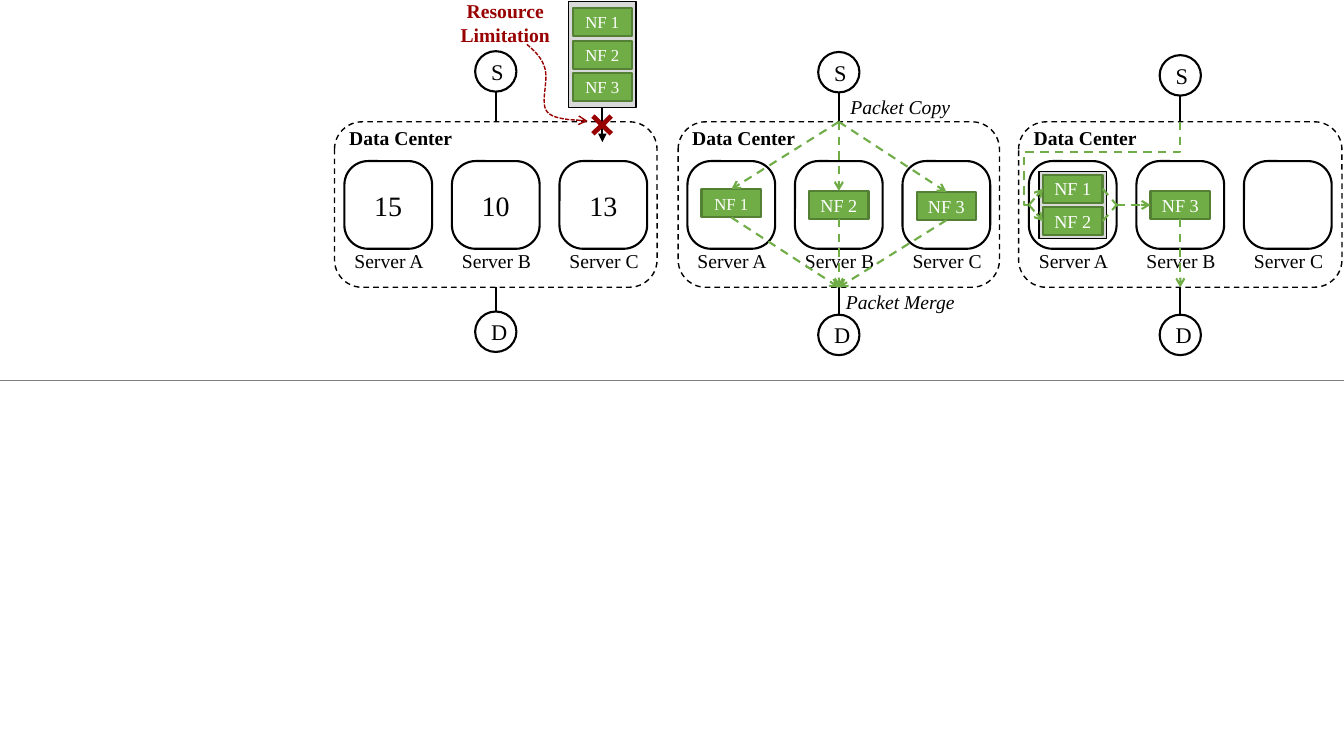
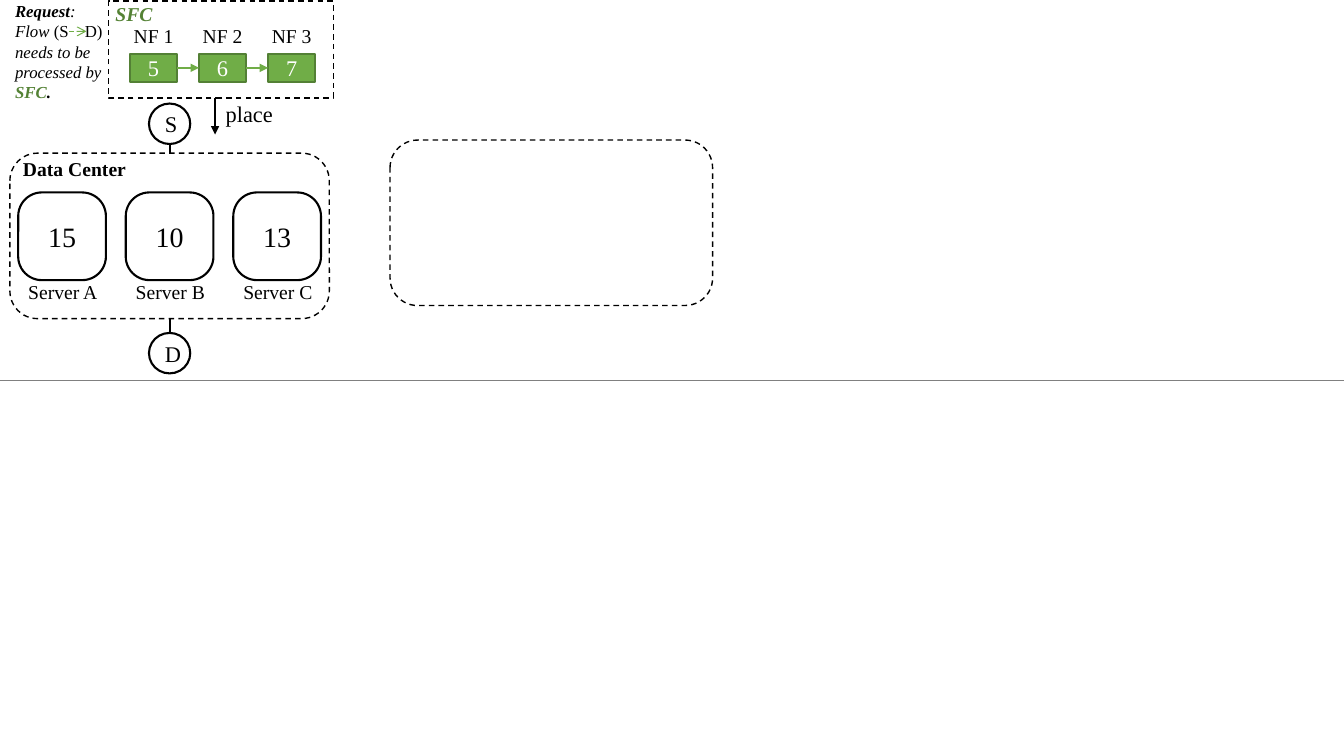
from pptx import Presentation
from pptx.dml.color import RGBColor
from pptx.enum.dml import MSO_LINE
from pptx.enum.shapes import MSO_CONNECTOR, MSO_SHAPE as SHAPE
from pptx.enum.text import MSO_ANCHOR, PP_ALIGN as ALIGN
from pptx.oxml.ns import qn
from pptx.util import Cm, Pt
from lxml.etree import SubElement

FONT = "Times New Roman"
BLACK, WHITE, GREY, RULE = "000000", "FFFFFF", "D9D9D9", "808080"
GREEN, DARK_GREEN, SFC_GREEN, RED = "70AD47", "538035", "548235", "990000"
SLIDE_W, SLIDE_H = 33.87, 19.05
CENTER_H = 4.17
SERVER, SERVER_PITCH, SERVER_TOP = 2.21, 2.71, 0.99
NF_W, NF_H, NF_PITCH = 1.5, 0.71, 0.82
NODE_W, NODE_H = 1.04, 1.02
LABEL_H = 0.86


def rgb(color):
    return RGBColor.from_string(color)


def style_run(r, size, color=BLACK, bold=False, italic=False):
    f = r.font
    f.name, f.size, f.bold, f.italic = FONT, Pt(size), bold, italic
    f.color.rgb = rgb(color)


def write(tf, text, size, color=BLACK, align=ALIGN.CENTER, **style):
    tf.word_wrap = True
    tf.text = text
    for p in tf.paragraphs:
        p.alignment = align
        for r in p.runs:
            style_run(r, size, color, **style)


def pen(line, color, width, dash=None, tip=None):
    """Set a line's colour, width, dash and end arrowhead."""
    line.color.rgb = rgb(color)
    line.width = Pt(width)
    if dash:
        line.dash_style = dash
    if tip:
        SubElement(line._get_or_add_ln(), qn("a:tailEnd"), type=tip)


def box(s, kind, x, y, w, h, fill=None, line=BLACK, width=1.5, dash=None,
        text="", size=14, color=BLACK):
    sp = s.shapes.add_shape(kind, Cm(x), Cm(y), Cm(w), Cm(h))
    sp.shadow.inherit = False
    if fill:
        sp.fill.solid()
        sp.fill.fore_color.rgb = rgb(fill)
    else:
        sp.fill.background()
    if line:
        pen(sp.line, line, width, dash)
    else:
        sp.line.fill.background()
    if text:
        sp.text_frame.vertical_anchor = MSO_ANCHOR.MIDDLE
        write(sp.text_frame, text, size, color)
    return sp


def label(s, text, x, y, w, h=LABEL_H, size=14, **style):
    tb = s.shapes.add_textbox(Cm(x), Cm(y), Cm(w), Cm(h))
    write(tb.text_frame, text, size, **style)


def connect(s, start, end, color=BLACK, width=1.5, dash=None, tip=None):
    points = [Cm(v) for v in (*start, *end)]
    c = s.shapes.add_connector(MSO_CONNECTOR.STRAIGHT, *points)
    pen(c.line, color, width, dash, tip)
    SubElement(c._element.spPr, qn("a:effectLst"))


def flow(s, start, end, tip="arrow"):
    connect(s, start, end, GREEN, dash=MSO_LINE.DASH, tip=tip)


def polyline(s, points, color, width, dash, tip=None):
    start, *rest = [(Cm(x), Cm(y)) for x, y in points]
    fb = s.shapes.build_freeform(*start)
    fb.add_line_segments(rest, close=False)
    sp = fb.convert_to_shape()
    sp.shadow.inherit = False
    sp.fill.background()
    pen(sp.line, color, width, dash, tip)


def bezier(p0, p1, p2, p3, steps=12):
    """Points along a cubic curve, without its first one."""
    for i in range(1, steps + 1):
        t = i / steps
        u = 1 - t
        yield tuple(u**3 * a + 3 * u * u * t * b + 3 * u * t * t * c + t**3 * d
                    for a, b, c, d in zip(p0, p1, p2, p3))


def nf(s, cx, cy, text, size=13, w=NF_W):
    """Network function block, placed by its centre."""
    box(s, SHAPE.RECTANGLE, cx - w / 2, cy - NF_H / 2, w, NF_H,
        GREEN, DARK_GREEN, text=text, size=size, color=WHITE)


def nf_stack(s, cx, cy, h, names, size):
    w = 1.7
    box(s, SHAPE.RECTANGLE, cx - w / 2, cy - h / 2, w, h, GREY, width=1)
    for i, name in enumerate(names):
        nf(s, cx, cy + (i - (len(names) - 1) / 2) * NF_PITCH, name, size)


def center_frame(s, x, y, w):
    box(s, SHAPE.ROUNDED_RECTANGLE, x, y, w, CENTER_H, width=1, dash=MSO_LINE.DASH)


def node(s, cx, y, text):
    box(s, SHAPE.OVAL, cx - NODE_W / 2, y, NODE_W, NODE_H, text=text, size=16)


def data_center(s, x, y, w, s_gap, d_gap, loads=("", "", "")):
    """Frame, servers and end nodes; returns the server centres."""
    cx, bottom = x + w / 2, y + CENTER_H
    center_frame(s, x, y, w)
    node(s, cx, y - s_gap - NODE_H, "S")
    connect(s, (cx, y - s_gap), (cx, y))
    node(s, cx, bottom + d_gap, "D")
    connect(s, (cx, bottom + d_gap), (cx, bottom))

    left = cx - SERVER_PITCH - SERVER / 2
    label(s, "Data Center", left - 0.13, y - 0.03, 3.4, align=ALIGN.LEFT, bold=True)
    centers = []
    for i, (name, load) in enumerate(zip("ABC", loads)):
        sx = left + i * SERVER_PITCH
        sp = box(s, SHAPE.ROUNDED_RECTANGLE, sx, y + SERVER_TOP, SERVER, SERVER,
                 text=load, size=20)
        sp.adjustments[0] = 0.27
        label(s, f"Server {name}", sx - 0.02, y + 3.07, 2.29)
        centers.append((sx + SERVER / 2, y + SERVER_TOP + SERVER / 2))
    return centers


def limited_center(s, x, y, w):
    data_center(s, x, y, w, 0.76, 0.61, ("15", "10", "13"))
    cx = x + 6.75
    nf_stack(s, cx, y - 1.69, 2.67, ("NF 1", "NF 2", "NF 3"), 12)
    connect(s, (cx, y - 0.38), (cx, y + 0.51), tip="triangle")
    cross = box(s, SHAPE.MATH_MULTIPLY, cx - 0.45, y - 0.35, 0.89, 0.86, RED, None)
    cross.adjustments[0] = 0.14
    label(s, "Resource\nLimitation", x + 2.72, y - 3.22, 3.17, 1.45,
          color=RED, bold=True)

    curve = [(4.85, -1.95), (5.06, -1.77), (5.24, -1.6), (5.31, -1.32),
             (5.39, -1.01), (5.18, -0.45), (5.36, -0.25),
             (5.54, -0.02), (6.23, -0.05), (6.38, -0.02)]
    curve = [(x + dx, y + dy) for dx, dy in curve]
    points = curve[:1]
    for i in range(0, len(curve) - 1, 3):
        points += bezier(*curve[i:i + 4])
    polyline(s, points, RED, 1, MSO_LINE.SQUARE_DOT, "arrow")


def parallel_center(s, x, y, w):
    centers = data_center(s, x, y, w, 0.74, 0.69)
    cx, bottom = x + w / 2, y + CENTER_H
    nfs = (("NF 1", 12, -0.04), ("NF 2", 13, 0), ("NF 3", 13, 0.03))
    for (nx, cy), (name, size, shift) in zip(centers, nfs):
        ny = cy + shift
        nf(s, nx, ny, name, size)
        flow(s, (cx, y), (nx, ny - NF_H / 2))
        flow(s, (nx, ny + NF_H / 2), (cx, bottom))
    for text, ty in (("Packet Copy", y - 0.81), ("Packet Merge", bottom - 0.05)):
        label(s, text, cx - 0.25, ty, 3.6, italic=True)


def hybrid_center(s, x, y, w):
    (ax, cy), (bx, _), _ = data_center(s, x, y, w, 0.66, 0.69)
    cx = x + w / 2
    nf_stack(s, ax, cy, 1.7, ("NF 1", "NF 2"), 13)
    nf(s, bx, cy, "NF 3")
    a_in, a_out = ax - SERVER / 2, ax + SERVER / 2
    turn_x, turn_y = a_in - 0.13, y + 0.76
    polyline(s, [(cx, y), (cx, turn_y), (turn_x, turn_y), (turn_x, cy), (a_in, cy)],
             GREEN, 1.5, MSO_LINE.DASH)
    for ny in (cy - NF_PITCH / 2, cy + NF_PITCH / 2):
        flow(s, (a_in, cy), (ax - NF_W / 2, ny))
        flow(s, (ax + NF_W / 2, ny), (a_out, cy), tip=None)
    flow(s, (a_out, cy), (bx - NF_W / 2, cy))
    flow(s, (bx, cy + NF_H / 2), (cx, y + CENTER_H))


def request_note(s, x, y):
    tb = s.shapes.add_textbox(Cm(x), Cm(y), Cm(2.82), Cm(2.82))
    tb.text_frame.word_wrap = True
    p = tb.text_frame.paragraphs[0]
    tabs = SubElement(p._p.get_or_add_pPr(), qn("a:tabLst"))
    SubElement(tabs, qn("a:tab"), pos=str(Cm(1.76)), algn="l")
    for text, color, bold, italic in (
            ("Request", BLACK, True, True), (": Flow ", BLACK, False, True),
            ("(S\tD)", BLACK, False, False),
            (" needs to be processed by ", BLACK, False, True),
            ("SFC", SFC_GREEN, True, True), (".", BLACK, True, True)):
        r = p.add_run()
        r.text = text
        style_run(r, 12, color, bold, italic)
    connect(s, (x + 1.62, y + 0.89), (x + 2.05, y + 0.89), GREEN, 0.75,
            MSO_LINE.DASH, "arrow")


def sfc_chain(s, x, y, w, h):
    box(s, SHAPE.RECTANGLE, x, y, w, h, dash=MSO_LINE.DASH, width=1)
    label(s, "SFC", x - 0.08, y - 0.11, 1.7, color=SFC_GREEN, align=ALIGN.LEFT,
          bold=True, italic=True)
    nf_w, pitch, cy = 1.19, 1.74, y + 1.68
    for i, load in enumerate("567"):
        cx = x + 1.13 + i * pitch
        nf(s, cx, cy, load, 16, nf_w)
        label(s, f"NF {i + 1}", cx - 0.75, y + 0.45, 1.6, align=ALIGN.LEFT)
        if i:
            connect(s, (cx - pitch + nf_w / 2, cy), (cx - nf_w / 2, cy), GREEN,
                    tip="triangle")
    px, bottom = x + 2.68, y + h
    connect(s, (px, bottom), (px, bottom + 0.92), tip="triangle")
    label(s, "place", px + 0.02, bottom - 0.08, 2, 0.94, 16, align=ALIGN.LEFT)


def new_slide(prs):
    s = prs.slides.add_slide(prs.slide_layouts[6])
    connect(s, (0, 9.58), (SLIDE_W, 9.58), RULE, 0.5)
    return s


def placement_slide(prs):
    s = new_slide(prs)
    limited_center(s, 8.43, 3.07, 8.13)
    parallel_center(s, 17.09, 3.07, 8.1)
    hybrid_center(s, 25.67, 3.07, 8.15)


def request_slide(prs):
    s = new_slide(prs)
    center_frame(s, 9.83, 3.53, 8.13)
    request_note(s, 0.13, -0.1)
    sfc_chain(s, 2.74, 0.03, 5.66, 2.44)
    data_center(s, 0.25, 3.86, 8.05, 0.23, 0.36, ("15", "10", "13"))


def main():
    prs = Presentation()
    prs.slide_width, prs.slide_height = Cm(SLIDE_W), Cm(SLIDE_H)
    placement_slide(prs)
    request_slide(prs)
    prs.save("out.pptx")


if __name__ == "__main__":
    main()
